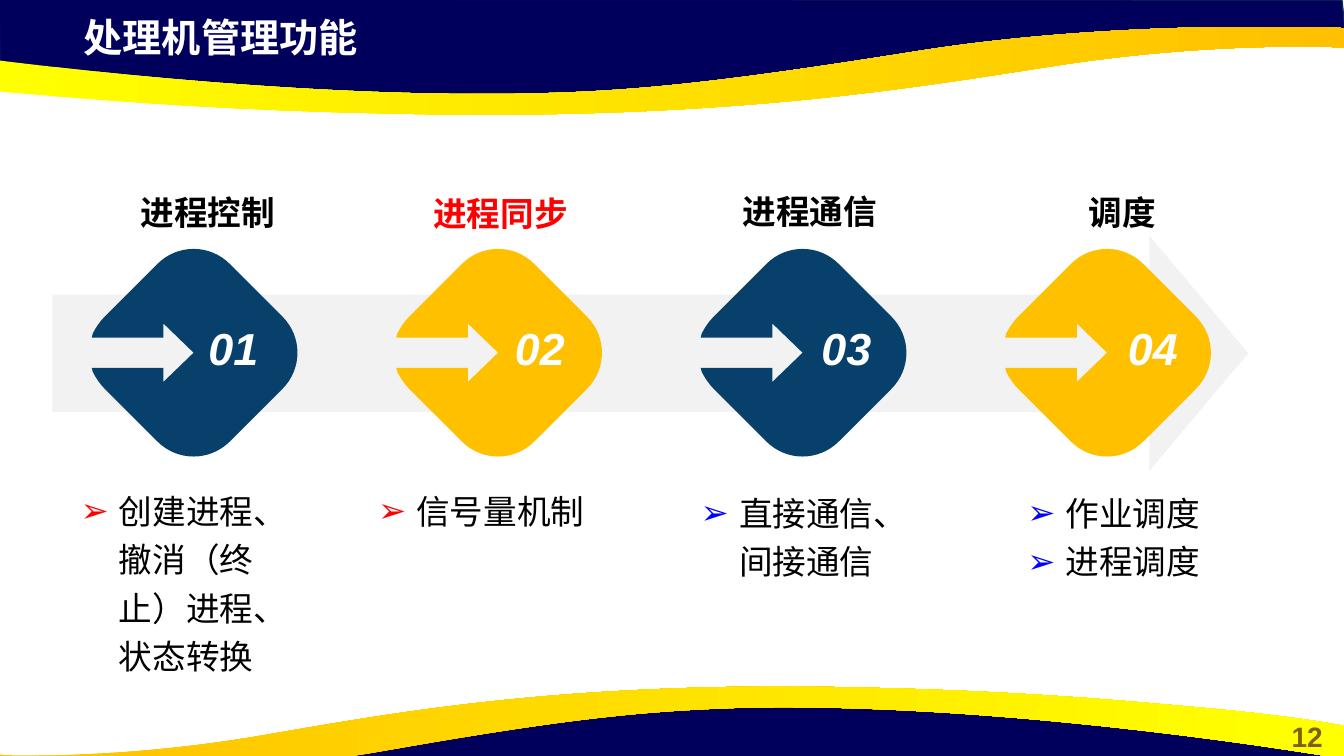
import math

from lxml import etree
from pptx import Presentation, util as u
from pptx.dml.color import RGBColor
from pptx.enum import shapes, text
from pptx.oxml import ns

NAVY = RGBColor(0x00, 0x00, 0x5C)
EDGE = RGBColor(0x05, 0x30, 0x4F)
BLUE = RGBColor(0x07, 0x41, 0x6B)
GOLD = RGBColor(0xFF, 0xC0, 0x00)
YELLOW = RGBColor(0xFF, 0xFF, 0x00)
OLIVE = RGBColor(0x80, 0x60, 0x00)
GREY = RGBColor(0xF2, 0xF2, 0xF2)
RED = RGBColor(0xFF, 0x00, 0x00)
PURE = RGBColor(0x00, 0x00, 0xFF)
BLACK = RGBColor(0, 0, 0)
WHITE = RGBColor(255, 255, 255)

WIDE, HIGH = 13.33, 7.5
LEFT, COL, MID = 1.92, 3.02, 3.5  # first diamond, column pitch, row centre

# Outlines: a pair is a corner, six numbers are a Bézier curve
NAVY_BAND = [(-0.01, -0.01), (0, 0.7), (2.93, 1.02), (5.59, 1), (7.95, 0.88),
             (10.16, 0.5), (12.38, 0.33), (13.35, 0.38), (13.31, 0)]
TOP_GOLD = [(4.83, 1.14), (4.43, 1.14, 4.01, 1.13, 3.56, 1.12),
            (2.06, 1.08, 1.1, 1, 0.36, 0.94),
            (-0.88, 0.84, -1.3, 0.75, -1.33, 0.75),
            (-1.33, 0.42, -1.33, 0.42, -1.33, 0.42),
            (-1.33, 0.42, 2.18, 0.98, 5.17, 0.93),
            (6.26, 0.91, 7.08, 0.83, 9.15, 0.5),
            (11.21, 0.18, 13.33, 0.28, 13.33, 0.28),
            (13.33, 0.32), (13.33, 0.47), (13.3, 0.47),
            (13.05, 0.46, 11.95, 0.43, 10.55, 0.64),
            (9.18, 0.85, 7.62, 1.13, 4.83, 1.14)]
LOW_GOLD = [(7.72, 6.81), (8.09, 6.81, 8.47, 6.82, 8.88, 6.83),
            (10.25, 6.87, 11.12, 6.95, 11.79, 7.01),
            (12.92, 7.11, 13.3, 7.2, 13.33, 7.2),
            (13.33, 7.53, 13.33, 7.53, 13.33, 7.53),
            (13.33, 7.53, 10.14, 6.97, 7.42, 7.02),
            (6.42, 7.05, 5.67, 7.12, 3.8, 7.45),
            (1.92, 7.78, -0.01, 7.68, -0.01, 7.68),
            (-0.01, 7.64), (-0.01, 7.48), (0.02, 7.49),
            (0.25, 7.5, 1.25, 7.52, 2.52, 7.31),
            (3.76, 7.1, 5.19, 6.82, 7.72, 6.81)]
# Diamond around its own centre, with an arrow cut into the left
DIAMOND = [(0, -1.03), (0.13, -1.03, 0.26, -0.98, 0.36, -0.88), (0.88, -0.36),
           (1.08, -0.16, 1.08, 0.16, 0.88, 0.36), (0.36, 0.88),
           (0.16, 1.08, -0.16, 1.08, -0.36, 0.88), (-0.88, 0.36),
           (-0.93, 0.31, -0.97, 0.25, -1, 0.19), (-1.01, 0.15), (-0.3, 0.15),
           (-0.3, 0.29), (0, 0), (-0.3, -0.29), (-0.3, -0.15), (-1.01, -0.15),
           (-1, -0.19), (-0.97, -0.25, -0.93, -0.31, -0.88, -0.36),
           (-0.36, -0.88), (-0.26, -0.98, -0.13, -1.03, 0, -1.03)]

# Heading, its colour, line spacing and box; list lines, bullet colour and box
STEPS = [
    ("进程控制", BLACK, 1.0, (0.59, 1.85, 2.94, 0.43),
     ["创建进程、撤消（终止）进程、状态转换"], RED, (0.7, 4.74, 2.5, 1.6)),
    ("进程同步", RED, 1.1, (3.15, 1.83, 3.63, 0.43),
     ["信号量机制"], RED, (3.65, 4.74, 2.49, 0.94)),
    ("进程通信", BLACK, 1.0, (6.74, 1.84, 2.58, 0.43),
     ["直接通信、间接通信"], PURE, (6.85, 4.76, 2.21, 0.58)),
    ("调度", BLACK, 1.0, (9.44, 1.85, 3.38, 0.43),
     ["作业调度", "进程调度"], PURE, (10.09, 4.76, 2.59, 0.91)),
]


def paint(shape, color, line=None):
    shape.shadow.inherit = False
    shape.fill.solid()
    shape.fill.fore_color.rgb = color
    if line:
        shape.line.color.rgb = line
        shape.line.width = u.Pt(1)
    else:
        shape.line.fill.background()


def curve(shape, marks):
    """Join each three points of a curve mark into one Bézier segment."""
    lines = iter(shape._element.findall(".//" + ns.qn("a:lnTo")))
    for mark in marks[1:]:
        first = next(lines)
        if len(mark) == 6:
            first.tag = ns.qn("a:cubicBezTo")
            for _ in range(2):
                extra = next(lines)
                first.append(extra[0])
                extra.getparent().remove(extra)


def draw(slide, marks, color, line=None, dx=0, dy=0):
    dots = [(u.Inches(m[k] + dx), u.Inches(m[k + 1] + dy))
            for m in marks for k in range(0, len(m), 2)]
    pen = slide.shapes.build_freeform(*dots[0], scale=1.0)
    pen.add_line_segments(dots[1:], close=True)
    shape = pen.convert_to_shape()
    curve(shape, marks)
    paint(shape, color, line)
    return shape


def turn(marks, angle):
    c, s = math.cos(math.radians(angle)), math.sin(math.radians(angle))
    return [tuple(v for k in range(0, len(m), 2)
                  for v in (m[k] * c - m[k + 1] * s, m[k] * s + m[k + 1] * c))
            for m in marks]


def blend(shape, *stops):
    shape.fill.gradient()
    shape.fill.gradient_angle = 0
    for stop, (pos, color) in zip(shape.fill.gradient_stops, stops):
        stop.position = pos
        stop.color.rgb = color


def bullet(para, color):
    prop = para._p.get_or_add_pPr()
    prop.set("marL", str(u.Inches(0.38)))
    prop.set("indent", str(-u.Inches(0.38)))
    tint = etree.SubElement(prop, ns.qn("a:buClr"))
    etree.SubElement(tint, ns.qn("a:srgbClr"), val=str(color))
    etree.SubElement(prop, ns.qn("a:buFont"), typeface="Arial")
    etree.SubElement(prop, ns.qn("a:buChar"), char="➢")


def write(shape, lines, box, size=24, color=BLACK, bold=False, italic=False,
          align=text.PP_ALIGN.CENTER, anchor=text.MSO_ANCHOR.TOP, space=1.0, mark=None):
    shape.left, shape.top, shape.width, shape.height = map(u.Inches, box)
    frame = shape.text_frame
    frame.word_wrap = True
    frame.auto_size = text.MSO_AUTO_SIZE.NONE
    frame.vertical_anchor = anchor
    for n, line in enumerate(lines):
        para = frame.add_paragraph() if n else frame.paragraphs[0]
        if mark:
            bullet(para, mark)
        para.alignment = align
        para.line_spacing = space
        para.space_before = u.Pt(0)
        run = para.add_run()
        run.text = line
        font = run.font
        font.name, font.size, font.bold, font.italic = "Arial", u.Pt(size), bold, italic
        font.color.rgb = color


def label(slide, line, box, **form):
    write(slide.shapes.add_textbox(0, 0, 0, 0), [line], box, **form)


def main():
    deck = Presentation()
    deck.slide_width, deck.slide_height = u.Inches(WIDE), u.Inches(HIGH)
    slide = deck.slides.add_slide(deck.slide_layouts.get_by_name("Comparison"))
    title, *lists = [p for p in slide.placeholders if p.placeholder_format.idx < 5]

    # Bands at top and bottom
    draw(slide, NAVY_BAND, NAVY, EDGE)
    blend(draw(slide, TOP_GOLD, GOLD), (0.1, YELLOW), (1, GOLD))
    draw(slide, NAVY_BAND, NAVY, EDGE, dx=-0.02, dy=6.92).rotation = 180
    blend(draw(slide, LOW_GOLD, GOLD), (0, GOLD), (0.95, YELLOW))
    label(slide, "12", (12.6, 7.09, 0.73, 0.44), size=20, color=OLIVE, bold=True)

    # Title, in front of the bands
    slide.shapes._spTree.append(title._element)
    write(title, ["处理机管理功能"], (0.73, 0.08, 7.68, 0.57), size=28, color=WHITE,
          bold=True, align=text.PP_ALIGN.LEFT, anchor=text.MSO_ANCHOR.MIDDLE)

    # Long arrow behind the steps
    arrow = slide.shapes.add_shape(shapes.MSO_SHAPE.RIGHT_ARROW,
                                   *map(u.Inches, (0.52, 2.34, 11.86, 2.33)))
    arrow.adjustments[0], arrow.adjustments[1] = 0.5, 0.42
    paint(arrow, GREY)

    # Four steps: diamond, number, heading, list
    square = turn(DIAMOND, -45)
    for n, (head, tone, space, spot, lines, mark, box) in enumerate(STEPS):
        fill = GOLD if n % 2 else BLUE
        draw(slide, square, fill, dx=LEFT + n * COL, dy=MID).rotation = 45
        label(slide, f"{n + 1:02}", (1.93 + n * 3.04, 3.08, 0.77, 0.74), size=32,
              color=WHITE, bold=True, italic=True, anchor=text.MSO_ANCHOR.MIDDLE)
        label(slide, head, spot, color=tone, bold=True, space=space)
        write(lists[n], lines, box, align=text.PP_ALIGN.LEFT, space=1.2, mark=mark)

    deck.save("out.pptx")


if __name__ == "__main__":
    main()
